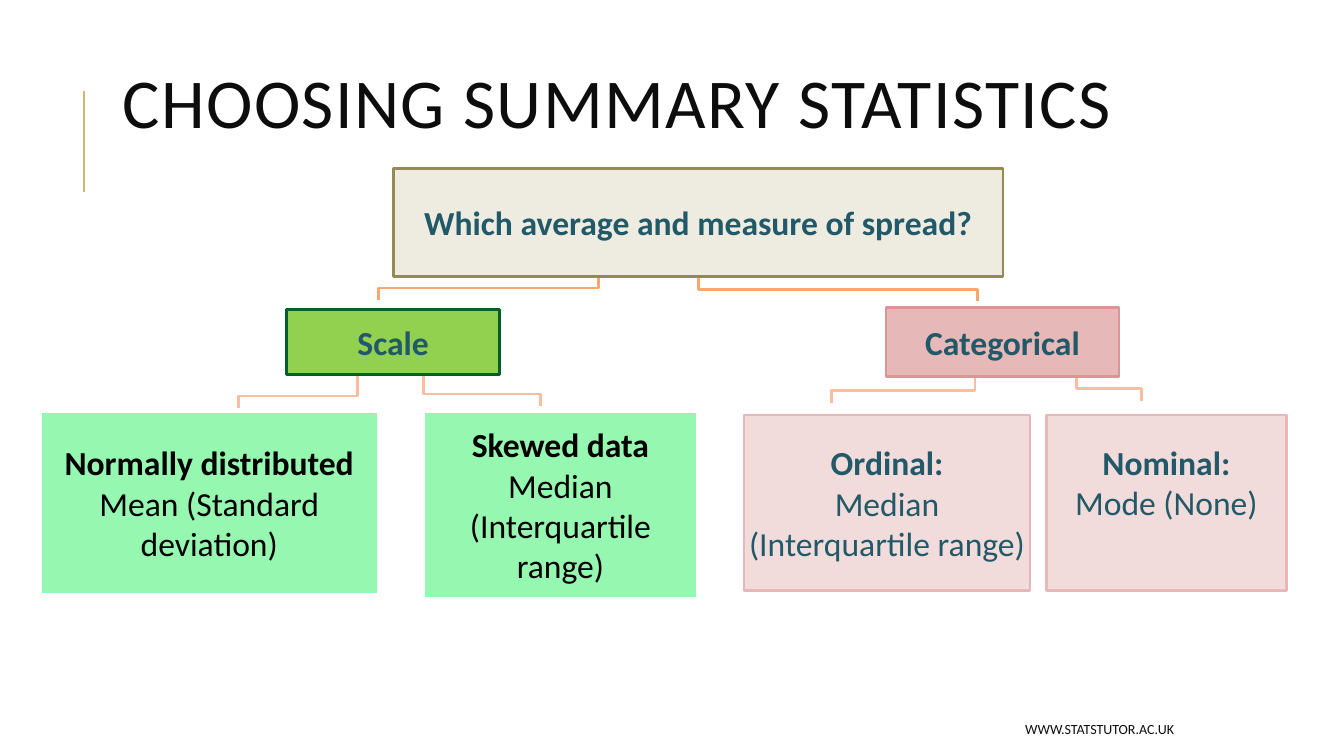
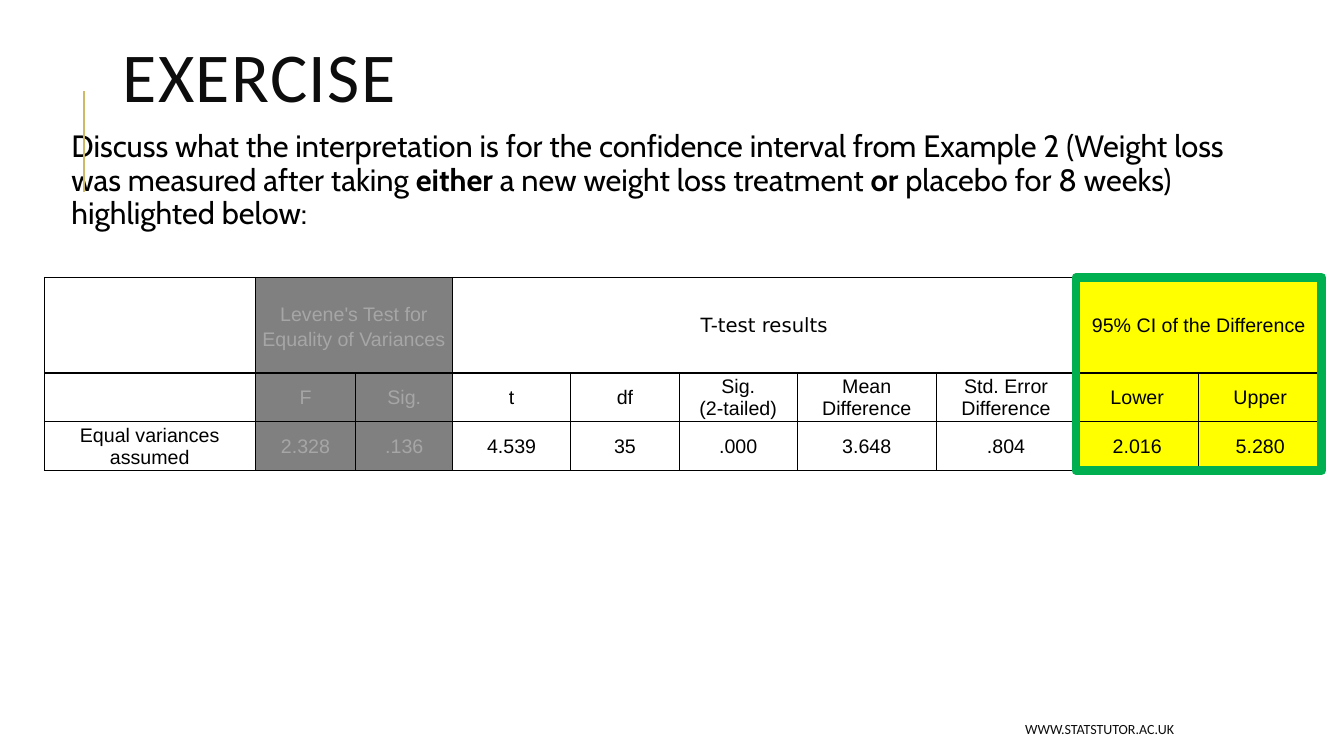
from lxml import etree
from pptx import Presentation
from pptx import util as u
from pptx.dml.color import RGBColor
from pptx.enum import shapes as sh, text as tx
from pptx.oxml import ns

Cm, Pt = u.Cm, u.Pt

BLACK = RGBColor(0x00, 0x00, 0x00)
WHITE = RGBColor(0xFF, 0xFF, 0xFF)
INK = RGBColor(0x0D, 0x0D, 0x0D)
GOLD = RGBColor(0xCE, 0xB9, 0x66)
TEAL = RGBColor(0x21, 0x59, 0x68)
CREAM = RGBColor(0xEE, 0xEC, 0xE1)
OLIVE = RGBColor(0x94, 0x8A, 0x54)
LIME = RGBColor(0x92, 0xD0, 0x50)
FOREST = RGBColor(0x00, 0x60, 0x2B)
MINT = RGBColor(0x96, 0xF8, 0xB0)
ROSE = RGBColor(0xE6, 0xB9, 0xB8)
DEEP_ROSE = RGBColor(0xD9, 0x96, 0x94)
PALE_ROSE = RGBColor(0xF2, 0xDC, 0xDB)
ORANGE = RGBColor(0xF8, 0xA5, 0x6E)
PEACH = RGBColor(0xF9, 0xBE, 0x9F)
GREY = RGBColor(0x80, 0x80, 0x80)
SILVER = RGBColor(0xA6, 0xA6, 0xA6)
YELLOW = RGBColor(0xFF, 0xFF, 0x00)
GREEN = RGBColor(0x00, 0xB0, 0x50)

TITLE_FONT = {"name": "Calibri", "size": Pt(50), "bold": False}
FOOTER_FONT = {"name": "Calibri", "size": Pt(10)}
NODE_FONT = {"name": "Calibri", "size": Pt(24)}
BODY_FONT = {"name": "Cabin", "size": Pt(22)}
CELL_FONT = {"name": "Arial", "size": Pt(14), "bold": False}
MARGINS = ("margin_left", "margin_top", "margin_right", "margin_bottom")

# Decision tree, in cm from the tree's corner:
# name: box, fill, line, text colour, bold line, plain lines, bottom inset
NODES = {
    "question": ((8.89, 0, 15.37, 2.72), CREAM, OLIVE, TEAL,
                 "Which average and measure of spread?", [], 0.05),
    "scale": ((6.2, 3.56, 5.38, 1.63), LIME, FOREST, TEAL, "Scale", [], 0.05),
    "normal": ((0, 6.12, 8.51, 4.62), MINT, WHITE, BLACK,
               "Normally distributed", ["Mean (Standard deviation)"], 0.05),
    "skewed": ((9.65, 6.12, 6.91, 4.72), MINT, WHITE, BLACK,
               "Skewed data", ["Median (Interquartile range)"], 0.05),
    "categorical": ((21.31, 3.51, 5.87, 1.73), ROSE, DEEP_ROSE, TEAL,
                    "Categorical", [], 0.05),
    "ordinal": ((17.73, 6.22, 7.21, 4.42), PALE_ROSE, ROSE, TEAL,
                "Ordinal:", ["Median", "(Interquartile range)"], 0.05),
    "nominal": ((25.35, 6.22, 6.05, 4.42), PALE_ROSE, ROSE, TEAL,
                "Nominal:", ["Mode (None)"], 1.08),
}
# Parent, x at the parent, x at the child, y of the bend, colour
BRANCHES = [
    ("question", 14.07, 8.51, 3.02, ORANGE),
    ("question", 16.59, 23.62, 3.05, ORANGE),
    ("scale", 8, 5, 5.74, PEACH),
    ("scale", 9.65, 12.6, 5.69, PEACH),
    ("categorical", 23.55, 19.94, 5.61, PEACH),
    ("categorical", 26.11, 27.74, 5.56, PEACH),
]
BRANCH_TIP = 0.3

COLUMN_WIDTHS = [5.31, 2.54, 2.44, 2.97, 2.74, 2.97, 3.51, 3.51, 3.1, 3.1]
ROW_HEIGHTS = [2.41, 1.23, 1.23]
RESULTS = [
    ["", "Levene's Test for Equality of Variances", "", "T-test results",
     "", "", "", "", "95% CI of the Difference", ""],
    ["", "F", "Sig.", "t", "df", "Sig.\n(2-tailed)", "Mean Difference",
     "Std. Error Difference", "Lower", "Upper"],
    ["Equal variances assumed", "2.328", ".136", "4.539", "35", ".000",
     "3.648", ".804", "2.016", "5.280"],
]
HEADER_SPANS = [(1, 2), (3, 7), (8, 9)]
COLUMN_COLOURS = ([(WHITE, BLACK)] + [(GREY, SILVER)] * 2
                  + [(WHITE, BLACK)] * 5 + [(YELLOW, BLACK)] * 2)


def apply(target, values):
    for name, value in values.items():
        setattr(target, name, value)


def style_font(font, values, colour, **extra):
    apply(font, {**values, **extra})
    font.color.rgb = colour


def place(shape, box):
    apply(shape, dict(zip(("left", "top", "width", "height"), map(Cm, box))))


def style_line(line, colour, width):
    line.color.rgb = colour
    line.width = Pt(width)


def new_slide(prs, layout, title, title_box):
    """Slide with the shared title style, gold rule and footer."""
    slide = prs.slides.add_slide(prs.slide_layouts[layout])
    rule = slide.shapes.add_connector(
        sh.MSO_CONNECTOR.STRAIGHT, Cm(2.11), Cm(4.83), Cm(2.11), Cm(2.29))
    style_line(rule.line, GOLD, 1.5)
    etree.SubElement(rule._element.spPr, ns.qn("a:effectLst"))

    heading = slide.shapes.title
    place(heading, title_box)
    heading.text_frame.text = title
    apply(heading.text_frame, {"vertical_anchor": tx.MSO_ANCHOR.MIDDLE,
                               "auto_size": tx.MSO_AUTO_SIZE.NONE})
    line = heading.text_frame.paragraphs[0]
    apply(line, {"alignment": tx.PP_ALIGN.LEFT, "line_spacing": 0.8})
    style_font(line.runs[0].font, TITLE_FONT, INK)
    line.runs[0]._r.get_or_add_rPr().set("spc", "100")

    footer = slide.shapes.add_textbox(Cm(13.46), Cm(17.98), Cm(16.38), Cm(0.76))
    apply(footer.text_frame, {"word_wrap": True,
                              "vertical_anchor": tx.MSO_ANCHOR.MIDDLE})
    footer.text_frame.text = "WWW.STATSTUTOR.AC.UK"
    address = footer.text_frame.paragraphs[0]
    address.alignment = tx.PP_ALIGN.RIGHT
    style_font(address.runs[0].font, FOOTER_FONT, INK)
    return slide


def add_branch(slide, left, top, parent, start_x, end_x, bend_y, colour):
    _, parent_top, _, parent_height = NODES[parent][0]
    corners = [(start_x, parent_top + parent_height), (start_x, bend_y),
               (end_x, bend_y), (end_x, bend_y + BRANCH_TIP)]
    points = [(Cm(left + x), Cm(top + y)) for x, y in corners]
    outline = slide.shapes.build_freeform(*points[0], scale=1.0)
    outline.add_line_segments(points[1:], close=False)
    branch = outline.convert_to_shape()
    branch.shadow.inherit = False
    branch.fill.background()
    style_line(branch.line, colour, 2)


def add_node(slide, left, top, box, fill, edge, ink, label, details, inset):
    x, y, width, height = box
    node = slide.shapes.add_shape(
        sh.MSO_SHAPE.RECTANGLE, Cm(left + x), Cm(top + y), Cm(width), Cm(height))
    node.shadow.inherit = False
    node.fill.solid()
    node.fill.fore_color.rgb = fill
    style_line(node.line, edge, 2)
    frame = node.text_frame
    apply(frame, {**dict.fromkeys(MARGINS, Cm(0.05)), "margin_bottom": Cm(inset),
                  "word_wrap": True, "vertical_anchor": tx.MSO_ANCHOR.MIDDLE})
    frame.text = "\n".join([label, *details])
    for i, line in enumerate(frame.paragraphs):
        line.alignment = tx.PP_ALIGN.CENTER
        style_font(line.runs[0].font, NODE_FONT, ink, bold=i == 0)


def add_tree(slide, left, top):
    for branch in BRANCHES:
        add_branch(slide, left, top, *branch)
    for node in NODES.values():
        add_node(slide, left, top, *node)


def add_question(slide, box):
    body = slide.placeholders[1]
    place(body, box)
    frame = body.text_frame
    apply(frame, {**dict.fromkeys(MARGINS, Cm(0.13)),
                  "auto_size": tx.MSO_AUTO_SIZE.NONE,
                  "vertical_anchor": tx.MSO_ANCHOR.TOP})
    question = frame.paragraphs[0]
    props = question._p.get_or_add_pPr()
    props.set("marL", str(Cm(0.25)))
    props.set("indent", str(-Cm(0.25)))
    etree.SubElement(props, ns.qn("a:buChar")).set("char", " ")
    apply(question, {"alignment": tx.PP_ALIGN.LEFT, "line_spacing": 0.9,
                     "space_before": Pt(0), "space_after": Pt(2)})
    phrases = ["Discuss what the interpretation is for the confidence interval "
               "from Example 2 (Weight loss was measured after taking ", "either",
               " a new weight loss treatment ", "or",
               " placebo for 8 weeks) highlighted below:"]
    for i, phrase in enumerate(phrases):
        run = question.add_run()
        run.text = phrase
        style_font(run.font, BODY_FONT, BLACK, bold=i % 2 == 1)


def add_borders(cell):
    props = cell._tc.get_or_add_tcPr()
    for side in ("lnL", "lnR", "lnT", "lnB"):
        border = etree.SubElement(props, ns.qn("a:" + side), w=str(Pt(1)))
        fill = etree.SubElement(border, ns.qn("a:solidFill"))
        etree.SubElement(fill, ns.qn("a:srgbClr"), val=str(BLACK))


def fill_cell(cell, words, fill, ink, font, spacing):
    add_borders(cell)
    cell.fill.solid()
    cell.fill.fore_color.rgb = fill
    apply(cell, dict(zip(MARGINS, (Cm(0.08), Cm(0.05)) * 2)))
    cell.vertical_anchor = tx.MSO_ANCHOR.MIDDLE
    if not words:
        return
    cell.text_frame.text = words
    for line in cell.text_frame.paragraphs:
        apply(line, {"alignment": tx.PP_ALIGN.CENTER, "line_spacing": spacing})
        style_font(line.runs[0].font, CELL_FONT, ink, name=font)


def add_results(slide, left, top):
    width, height = sum(COLUMN_WIDTHS), sum(ROW_HEIGHTS)
    table = slide.shapes.add_table(
        len(ROW_HEIGHTS), len(COLUMN_WIDTHS),
        Cm(left), Cm(top), Cm(width), Cm(height)).table
    apply(table, {"first_row": False, "horz_banding": False})
    for column, size in zip(table.columns, COLUMN_WIDTHS):
        column.width = Cm(size)
    for row, size in zip(table.rows, ROW_HEIGHTS):
        row.height = Cm(size)
    for first, last in HEADER_SPANS:
        table.cell(0, first).merge(table.cell(0, last))
    header_styles = {1: ("Arial", 1.15), 3: ("DejaVu Sans", 1.0)}
    for r, row in enumerate(RESULTS):
        for c, words in enumerate(row):
            style = header_styles.get(c) if r == 0 else None
            fill_cell(table.cell(r, c), words, *COLUMN_COLOURS[c],
                      *(style or ("Arial", Pt(16))))

    # Frame round the confidence interval
    interval_width = sum(COLUMN_WIDTHS[-2:])
    frame = slide.shapes.add_shape(
        sh.MSO_SHAPE.RECTANGLE, Cm(left + width - interval_width), Cm(top),
        Cm(interval_width), Cm(height))
    frame.shadow.inherit = False
    frame.fill.background()
    style_line(frame.line, GREEN, 6)


def main():
    prs = Presentation()
    apply(prs, {"slide_width": Cm(33.87), "slide_height": Cm(19.05)})

    statistics = new_slide(prs, 5, "CHOOSING SUMMARY STATISTICS",
                           (2.84, 0.64, 27, 4.17))
    add_tree(statistics, 1.02, 4.24)

    exercise = new_slide(prs, 1, "EXERCISE", (2.84, 0.99, 27, 2.16))
    add_question(exercise, (1.42, 3.18, 30.48, 3.61))
    add_results(exercise, 1.12, 6.99)

    prs.save("out.pptx")


if __name__ == "__main__":
    main()
